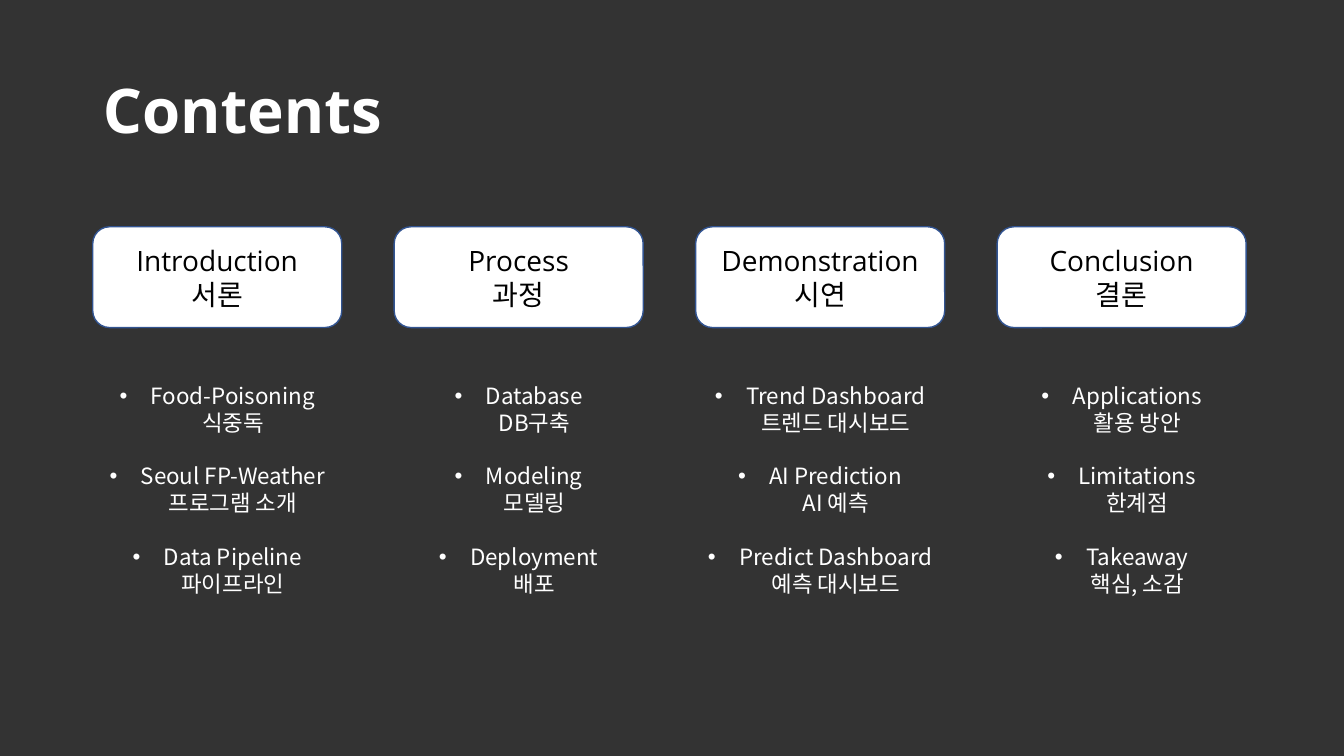
from copy import deepcopy
from dataclasses import dataclass
from lxml import etree
from pptx import Presentation
from pptx.dml.color import RGBColor
from pptx.enum import shapes, text
from pptx.oxml import ns
from pptx.util import Inches, Pt


@dataclass(frozen=True)
class Theme:
    back: str = "333333"
    white: str = "FFFFFF"
    black: str = "000000"
    edge: str = "325491"
    head: str = "Open Sans"
    body: str = "Noto Sans CJK KR"
    title: int = 44
    card: int = 20
    item: int = 16


THEME = Theme()
TOPICS = [
    ("Introduction\n서론", ["Food-Poisoning\n식중독",
                          "Seoul FP-Weather\n프로그램 소개",
                          "Data Pipeline\n파이프라인"]),
    ("Process\n과정", ["Database\nDB구축", "Modeling\n모델링", "Deployment\n배포"]),
    ("Demonstration\n시연", ["Trend Dashboard\n트렌드 대시보드",
                           "AI Prediction\nAI 예측",
                           "Predict Dashboard\n예측 대시보드"]),
    ("Conclusion\n결론", ["Applications\n활용 방안", "Limitations\n한계점",
                        "Takeaway\n핵심, 소감"]),
]


def color(code):
    return RGBColor.from_string(code)


def write(para, words, font, size, ink, bold=False, align=None, after=None):
    """Fill a paragraph; each newline becomes a line break of the same format."""
    para.alignment = align
    if after is not None:
        para.space_after = Pt(after)
    for i, line in enumerate(words.split("\n")):
        if i:
            para.add_line_break()
        run = para.add_run()
        run.text = line
        run.font.name, run.font.size, run.font.bold = font, Pt(size), bold
        run.font.color.rgb = color(ink)
    for br in para._p.findall(ns.qn("a:br")):
        br.append(deepcopy(run.font._element))


def bullet(para, indent):
    props = para._p.get_or_add_pPr()
    props.set("marL", str(indent))
    props.set("indent", str(-indent))
    etree.SubElement(props, ns.qn("a:buFont"), typeface="Arial")
    etree.SubElement(props, ns.qn("a:buChar"), char="•")


def heading(slide, words, left, top, width, height):
    title = slide.shapes.title
    title.left, title.top, title.width, title.height = left, top, width, height
    frame = title.text_frame
    frame.vertical_anchor = text.MSO_ANCHOR.MIDDLE
    para = frame.paragraphs[0]
    para.line_spacing = 0.9
    write(para, words, THEME.head, THEME.title, THEME.white, bold=True,
          align=text.PP_ALIGN.LEFT)


def card(slide, words, left, top, width, height):
    box = slide.shapes.add_shape(
        shapes.MSO_SHAPE.ROUNDED_RECTANGLE, left, top, width, height)
    box.shadow.inherit = False
    box.fill.solid()
    box.fill.fore_color.rgb = color(THEME.white)
    box.line.color.rgb = color(THEME.edge)
    box.line.width = Pt(1)
    frame = box.text_frame
    frame.vertical_anchor = text.MSO_ANCHOR.MIDDLE
    write(frame.paragraphs[0], words, THEME.head, THEME.card, THEME.black,
          align=text.PP_ALIGN.CENTER)


def items(slide, entries, left, top, width, height):
    frame = slide.shapes.add_textbox(left, top, width, height).text_frame
    frame.word_wrap = True
    frame.auto_size = text.MSO_AUTO_SIZE.SHAPE_TO_FIT_TEXT
    for i, entry in enumerate(entries):
        para = frame.add_paragraph() if i else frame.paragraphs[0]
        last = i == len(entries) - 1
        write(para, entry, THEME.body, THEME.item, THEME.white,
              align=text.PP_ALIGN.CENTER, after=0 if last else THEME.item * 1.2)
        bullet(para, Inches(0.31))


def column(slide, topic, left, top, width):
    name, entries = topic
    card(slide, name, left, top, width, Inches(1))
    items(slide, entries, left, top + Inches(1.49), width, Inches(2.26))


def contents(deck):
    slide = deck.slides.add_slide(deck.slide_layouts[5])
    slide.background.fill.solid()
    slide.background.fill.fore_color.rgb = color(THEME.back)
    left, pitch = Inches(0.92), Inches(2.99)
    heading(slide, "Contents", left, Inches(0.4), Inches(11.5), Inches(1.45))
    for i, topic in enumerate(TOPICS):
        column(slide, topic, left + i * pitch, Inches(2.25), Inches(2.47))


def main():
    deck = Presentation()
    deck.slide_width, deck.slide_height = Inches(13.33), Inches(7.5)
    contents(deck)
    deck.save("out.pptx")


if __name__ == "__main__":
    main()
